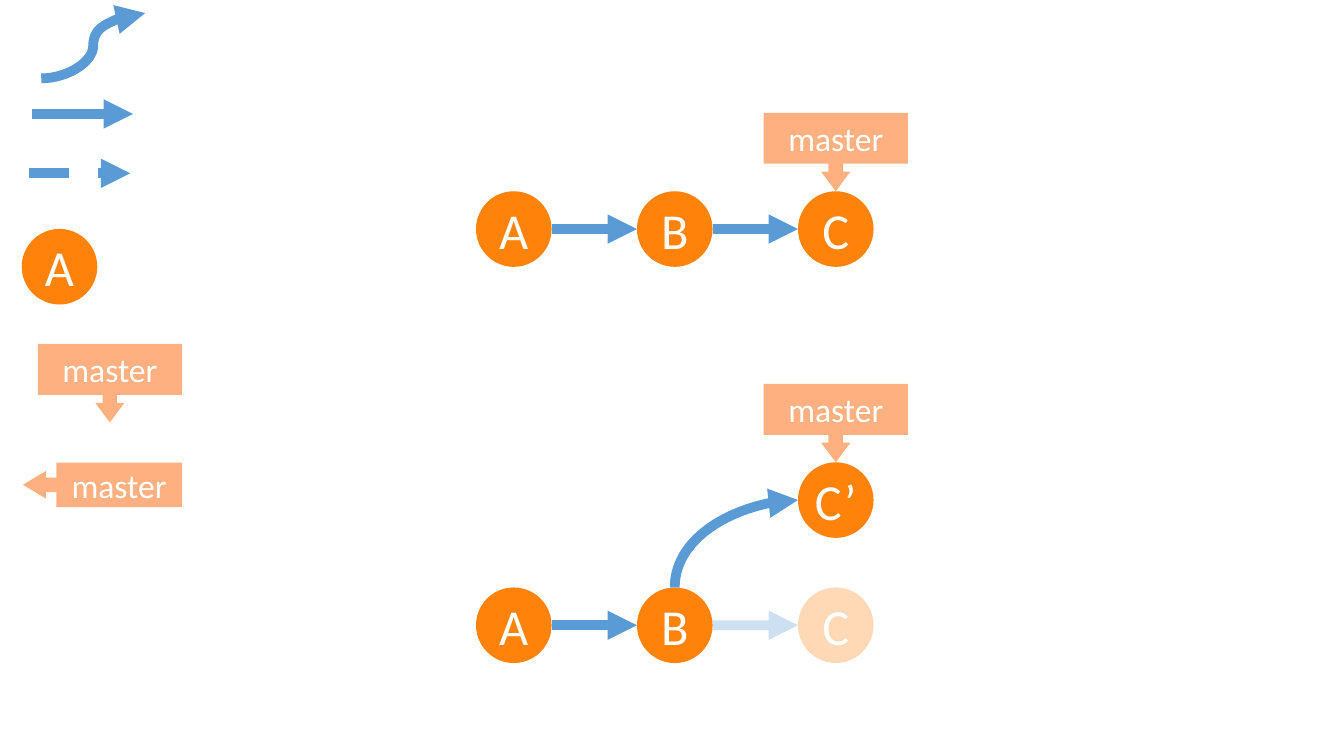
from dataclasses import dataclass

from lxml import etree
from pptx import Presentation
from pptx.dml.color import RGBColor
from pptx.enum.dml import MSO_LINE
from pptx.enum.shapes import MSO_CONNECTOR, MSO_SHAPE
from pptx.enum.text import MSO_ANCHOR, PP_ALIGN
from pptx.oxml.ns import qn
from pptx.shapes.autoshape import Shape
from pptx.shapes.connector import Connector
from pptx.slide import Slide
from pptx.util import Pt

STRAIGHT, CURVE = MSO_CONNECTOR.STRAIGHT, MSO_CONNECTOR.CURVE
ELLIPSE = MSO_SHAPE.OVAL
DOWN_CALLOUT, LEFT_CALLOUT = MSO_SHAPE.DOWN_ARROW_CALLOUT, MSO_SHAPE.LEFT_ARROW_CALLOUT
DASH = MSO_LINE.DASH
CENTER, MIDDLE = PP_ALIGN.CENTER, MSO_ANCHOR.MIDDLE


@dataclass(frozen=True)
class Theme:
    commit: RGBColor = RGBColor(0xFF, 0x82, 0x0A)
    branch: RGBColor = RGBColor(0xFE, 0xB0, 0x80)
    arrow: RGBColor = RGBColor(0x5B, 0x9B, 0xD5)
    text: RGBColor = RGBColor(0xFF, 0xFF, 0xFF)
    font: str = "Calibri"
    commit_size: float = 36
    branch_size: float = 24
    arrow_width: float = 7
    faded_percent: int = 30


THEME = Theme()
DIAMETER = 54
RADIUS = DIAMETER / 2
LABEL_WIDTH, LABEL_HEIGHT = 103, 56
COLUMN_A, COLUMN_B, COLUMN_C = (367 + 115 * index for index in range(3))
BEFORE_ROW, AMENDED_ROW, AFTER_ROW = 163.6, 357.2, 446.6


@dataclass(frozen=True)
class Commit:
    name: str
    x: float
    y: float
    faded: bool = False


@dataclass(frozen=True)
class Arrow:
    start: tuple[float, float]
    end: tuple[float, float]
    kind: MSO_CONNECTOR = STRAIGHT
    dashed: bool = False
    faded: bool = False


@dataclass(frozen=True)
class BranchLabel:
    left: float
    top: float
    width: float = LABEL_WIDTH
    height: float = LABEL_HEIGHT
    kind: MSO_SHAPE = DOWN_CALLOUT
    adjustments: tuple[float, ...] = (0.187, 0.187, 0.25, 0.65)


def link(source: Commit, target: Commit) -> Arrow:
    return Arrow((source.x + RADIUS, source.y), (target.x - RADIUS, target.y), faded=target.faded)


def label_above(commit: Commit) -> BranchLabel:
    return BranchLabel(commit.x - LABEL_WIDTH / 2, commit.y - RADIUS - LABEL_HEIGHT)


LEGEND_COMMIT = Commit("A", 42.5, 190.5)
BEFORE = [Commit("A", COLUMN_A, BEFORE_ROW), Commit("B", COLUMN_B, BEFORE_ROW), Commit("C", COLUMN_C, BEFORE_ROW)]
AFTER = [
    Commit("A", COLUMN_A, AFTER_ROW),
    Commit("B", COLUMN_B, AFTER_ROW),
    Commit("C", COLUMN_C, AFTER_ROW, faded=True),
]
AMENDED = Commit("C’", COLUMN_C, AMENDED_ROW)

COMMITS = [LEGEND_COMMIT, *BEFORE, *AFTER, AMENDED]
ARROWS = [
    Arrow((29.5, 56), (103.7, 9.4), CURVE),
    Arrow((23, 81.4), (95, 81.4)),
    Arrow((21, 123.8), (93, 123.8), dashed=True),
    *(link(*pair) for row in (BEFORE, AFTER) for pair in zip(row, row[1:])),
]
LABELS = [
    BranchLabel(27, 245.7),
    BranchLabel(16.4, 330.4, 113.5, 31.8, LEFT_CALLOUT, (0.325, 0.311, 0.517, 0.79)),
    label_above(BEFORE[-1]),
    label_above(AMENDED),
]


def fade(properties: etree._Element) -> None:
    """Make the solid fill inside the given properties partly transparent."""
    color = properties.find(qn("a:solidFill")).find(qn("a:srgbClr"))
    etree.SubElement(color, qn("a:alpha"), val=str(THEME.faded_percent * 1000))


def style_shape(shape: Shape, fill: RGBColor, text: str, size: float) -> None:
    shape.shadow.inherit = False
    shape.fill.solid()
    shape.fill.fore_color.rgb = fill
    shape.line.fill.background()
    text_frame = shape.text_frame
    text_frame.text = text
    text_frame.vertical_anchor = MIDDLE
    paragraph = text_frame.paragraphs[0]
    paragraph.alignment = CENTER
    font = paragraph.runs[0].font
    font.name, font.size, font.color.rgb = THEME.font, Pt(size), THEME.text


def draw_commit(slide: Slide, commit: Commit) -> None:
    shape = slide.shapes.add_shape(
        ELLIPSE, Pt(commit.x - RADIUS), Pt(commit.y - RADIUS), Pt(DIAMETER), Pt(DIAMETER)
    )
    style_shape(shape, THEME.commit, commit.name, THEME.commit_size)
    text_frame = shape.text_frame
    text_frame.word_wrap = False
    text_frame.margin_left = text_frame.margin_right = 0
    text_frame.margin_top = text_frame.margin_bottom = 0
    if commit.faded:
        fade(shape._element.spPr)


def draw_label(slide: Slide, label: BranchLabel) -> None:
    shape = slide.shapes.add_shape(
        label.kind, Pt(label.left), Pt(label.top), Pt(label.width), Pt(label.height)
    )
    for index, value in enumerate(label.adjustments):
        shape.adjustments[index] = value
    style_shape(shape, THEME.branch, "master", THEME.branch_size)


def draw_arrow(slide: Slide, arrow: Arrow) -> Connector:
    connector = slide.shapes.add_connector(
        arrow.kind, *(Pt(value) for value in (*arrow.start, *arrow.end))
    )
    line = connector.line
    line.width = Pt(THEME.arrow_width)
    line.color.rgb = THEME.arrow
    if arrow.dashed:
        line.dash_style = DASH
    line_properties = line._get_or_add_ln()
    if arrow.faded:
        fade(line_properties)
    etree.SubElement(line_properties, qn("a:tailEnd"), type="triangle")
    etree.SubElement(connector._element.spPr, qn("a:effectLst"))
    return connector


def draw_bend(slide: Slide, source: Commit, target: Commit) -> None:
    """Draw a quarter curve that leaves upwards and arrives from the left.

    The connector is laid out flipped both ways and then turned by 90 degrees,
    so its unturned width is the rise and its unturned height is the run.
    """
    start_x, start_y = source.x, source.y - RADIUS
    end_x, end_y = target.x - RADIUS, target.y
    center_x, center_y = (start_x + end_x) / 2, (start_y + end_y) / 2
    half_rise, half_run = (start_y - end_y) / 2, (end_x - start_x) / 2
    connector = draw_arrow(slide, Arrow(
        (center_x + half_rise, center_y + half_run),
        (center_x - half_rise, center_y - half_run),
        CURVE,
    ))
    properties = connector._element.spPr
    properties.find(qn("a:xfrm")).set("rot", str(90 * 60000))
    properties.find(qn("a:prstGeom")).set("prst", "curvedConnector2")


def main() -> None:
    presentation = Presentation()
    presentation.slide_width, presentation.slide_height = Pt(960), Pt(540)
    slide = presentation.slides.add_slide(presentation.slide_layouts[6])
    for commit in COMMITS:
        draw_commit(slide, commit)
    for arrow in ARROWS:
        draw_arrow(slide, arrow)
    draw_bend(slide, AFTER[1], AMENDED)
    for label in LABELS:
        draw_label(slide, label)
    presentation.save("out.pptx")


if __name__ == "__main__":
    main()
